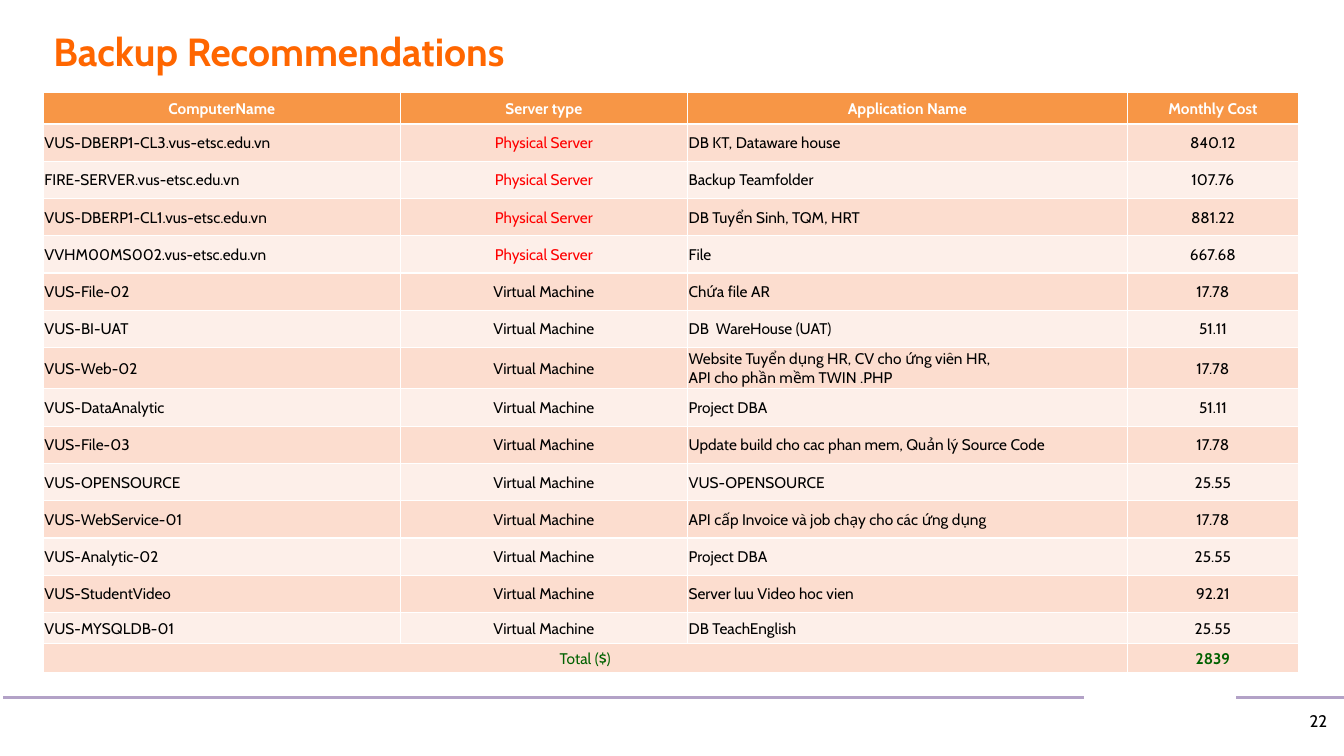
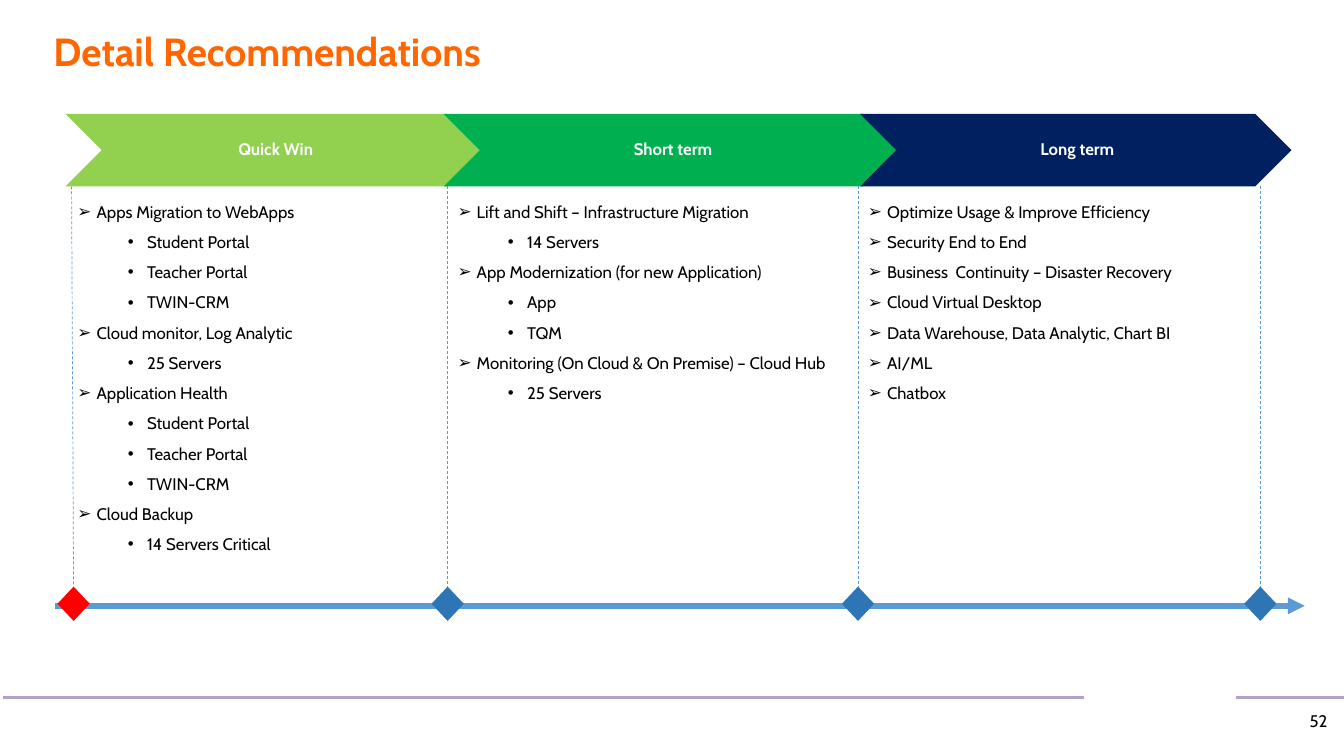
from dataclasses import dataclass
from typing import NamedTuple

from lxml import etree
from pptx import Presentation
from pptx.dml.color import RGBColor
from pptx.enum.dml import MSO_LINE
from pptx.enum.shapes import MSO_CONNECTOR, MSO_SHAPE
from pptx.enum.text import MSO_ANCHOR, MSO_AUTO_SIZE, PP_ALIGN
from pptx.oxml.ns import qn
from pptx.shapes.autoshape import Shape
from pptx.shapes.connector import Connector
from pptx.slide import Slide
from pptx.table import _Cell
from pptx.text.text import TextFrame, _Paragraph
from pptx.util import Pt

DASH = MSO_LINE.DASH
STRAIGHT = MSO_CONNECTOR.STRAIGHT
CHEVRON, DIAMOND = MSO_SHAPE.CHEVRON, MSO_SHAPE.DIAMOND
BOTTOM, MIDDLE, TOP = MSO_ANCHOR.BOTTOM, MSO_ANCHOR.MIDDLE, MSO_ANCHOR.TOP
LEFT, CENTER = PP_ALIGN.LEFT, PP_ALIGN.CENTER
NO_FIT, GROW = MSO_AUTO_SIZE.NONE, MSO_AUTO_SIZE.SHAPE_TO_FIT_TEXT

EMU_PER_PX = 9144  # 100 px to the inch
PAGE_WIDTH, PAGE_HEIGHT = 1333, 750
TITLE_ONLY = 5
FONT = "Cabin"

BLACK, WHITE, RED = "000000", "FFFFFF", "FF0000"
TITLE_ORANGE, RULE_PURPLE = "FF6600", "B3A2C7"
HEADER_ORANGE, BAND_DARK, BAND_LIGHT = "F79646", "FCDDCF", "FDEFE9"
TOTAL_GREEN = "006100"
AXIS_BLUE, MILESTONE_BLUE = "5B9BD5", "2E75B6"

FOOTER_RULES = ((1226, 1337), (3, 1075))
FOOTER_Y = 692


class Server(NamedTuple):
    name: str
    kind: str
    application: str
    cost: str


class Topic(NamedTuple):
    text: str
    details: tuple[str, ...] = ()


@dataclass(frozen=True)
class Phase:
    title: str
    color: str
    left: int
    width: int
    list_left: int
    topics: tuple[Topic, ...]


@dataclass(frozen=True)
class Milestone:
    center: int
    guide_start: int
    color: str = MILESTONE_BLUE


PHYSICAL, VIRTUAL = "Physical Server", "Virtual Machine"
COLUMN_NAMES = ("ComputerName", "Server type", "Application Name", "Monthly Cost")
COLUMN_WIDTHS = (354, 285, 436, 170)
COLUMN_ALIGNS = (LEFT, CENTER, LEFT, CENTER)
ROW_HEIGHTS = (31, *[37] * 6, 41, *[37] * 6, 31, 29)
SERVERS = (
    Server("VUS-DBERP1-CL3.vus-etsc.edu.vn", PHYSICAL, "DB KT, Dataware house", "840.12"),
    Server("FIRE-SERVER.vus-etsc.edu.vn", PHYSICAL, "Backup Teamfolder", "107.76"),
    Server("VUS-DBERP1-CL1.vus-etsc.edu.vn", PHYSICAL, "DB Tuyển Sinh, TQM, HRT", "881.22"),
    Server("VVHM00MS002.vus-etsc.edu.vn", PHYSICAL, "File", "667.68"),
    Server("VUS-File-02", VIRTUAL, "Chứa file AR", "17.78"),
    Server("VUS-BI-UAT", VIRTUAL, "DB  WareHouse (UAT)", "51.11"),
    Server("VUS-Web-02", VIRTUAL,
           "Website Tuyển dụng HR, CV cho ứng viên HR,\nAPI cho phần mềm TWIN .PHP", "17.78"),
    Server("VUS-DataAnalytic", VIRTUAL, "Project DBA", "51.11"),
    Server("VUS-File-03", VIRTUAL,
           "Update build cho cac phan mem, Quản lý Source Code", "17.78"),
    Server("VUS-OPENSOURCE", VIRTUAL, "VUS-OPENSOURCE", "25.55"),
    Server("VUS-WebService-01", VIRTUAL,
           "API cấp Invoice và job chạy cho các ứng dụng", "17.78"),
    Server("VUS-Analytic-02", VIRTUAL, "Project DBA", "25.55"),
    Server("VUS-StudentVideo", VIRTUAL, "Server luu Video hoc vien", "92.21"),
    Server("VUS-MYSQLDB-01", VIRTUAL, "DB TeachEnglish", "25.55"),
)

APPLICATIONS = ("Student Portal", "Teacher Portal", "TWIN-CRM")
PHASES = (
    Phase("Quick Win", "92D050", 65, 414, 67, (
        Topic("Apps Migration to WebApps", APPLICATIONS),
        Topic("Cloud monitor, Log Analytic", ("25 Servers",)),
        Topic("Application Health", APPLICATIONS),
        Topic("Cloud Backup", ("14 Servers Critical",)),
    )),
    Phase("Short term", "00B050", 440, 452, 444, (
        Topic("Lift and Shift – Infrastructure Migration", ("14 Servers",)),
        Topic("App Modernization (for new Application)", ("App", "TQM")),
        Topic("Monitoring (On Cloud & On Premise) – Cloud Hub", ("25 Servers",)),
    )),
    Phase("Long term", "002060", 853, 428, 851, (
        Topic("Optimize Usage & Improve Efficiency"),
        Topic("Security End to End"),
        Topic("Business  Continuity – Disaster Recovery"),
        Topic("Cloud Virtual Desktop"),
        Topic("Data Warehouse, Data Analytic, Chart BI"),
        Topic("AI/ML"),
        Topic("Chatbox"),
    )),
)
MILESTONES = (Milestone(73, 71, RED), Milestone(444, 444),
              Milestone(851, 851), Milestone(1250, 1250))
PHASE_TOP, PHASE_HEIGHT = 113, 72
PHASE_BOTTOM = PHASE_TOP + PHASE_HEIGHT
AXIS_Y = 601
DIAMOND_WIDTH, DIAMOND_HEIGHT, DIAMOND_TOP = 32, 34, 582


def px(*lengths: int) -> list[int]:
    """Turn px lengths into EMU."""
    return [length * EMU_PER_PX for length in lengths]


def rgb(color: str) -> RGBColor:
    return RGBColor.from_string(color)


def write(frame: TextFrame, text: str, *, size: float = 12, color: str = BLACK,
          bold: bool = False, align: PP_ALIGN = LEFT, spacing: float = 1.0) -> None:
    """Fill a frame, one paragraph for each line of the text."""
    for index, line in enumerate(text.split("\n")):
        para = frame.add_paragraph() if index else frame.paragraphs[0]
        para.alignment = align
        para.line_spacing = spacing
        span = para.add_run()
        span.text = line
        span.font.name = FONT
        span.font.size = Pt(size)
        span.font.bold = bold
        span.font.color.rgb = rgb(color)


def set_frame(frame: TextFrame, anchor: MSO_ANCHOR, margins: tuple[int, ...],
              fit: MSO_AUTO_SIZE = NO_FIT) -> None:
    frame.word_wrap = True
    frame.auto_size = fit
    frame.vertical_anchor = anchor
    (frame.margin_left, frame.margin_top,
     frame.margin_right, frame.margin_bottom) = px(*margins)


def add_bullet(para: _Paragraph, symbol: str, indent: int) -> None:
    properties = para._p.get_or_add_pPr()
    margin, hanging = px(indent, -19)
    properties.set("marL", str(margin))
    properties.set("indent", str(hanging))
    etree.SubElement(properties, qn("a:buFont"), typeface="Arial")
    etree.SubElement(properties, qn("a:buChar"), char=symbol)


def add_line(page: Slide, start: tuple[int, int], end: tuple[int, int],
             color: str, width: float) -> Connector:
    line = page.shapes.add_connector(STRAIGHT, *px(*start, *end))
    line.line.color.rgb = rgb(color)
    line.line.width = Pt(width)
    etree.SubElement(line._element.spPr, qn("a:effectLst"))
    return line


def add_filled(page: Slide, kind: MSO_SHAPE, place: tuple[int, ...], color: str) -> Shape:
    shape = page.shapes.add_shape(kind, *px(*place))
    shape.shadow.inherit = False
    shape.fill.solid()
    shape.fill.fore_color.rgb = rgb(color)
    shape.line.fill.background()
    return shape


def add_page(deck: Presentation, title: str, number: int, title_width: int) -> Slide:
    """Add a slide with the shared title, footer rules and page number."""
    page = deck.slides.add_slide(deck.slide_layouts[TITLE_ONLY])
    for start, end in FOOTER_RULES:
        add_line(page, (start, FOOTER_Y), (end, FOOTER_Y), RULE_PURPLE, 2.25)
    heading = page.shapes.title
    heading.left, heading.top, heading.width, heading.height = px(43, 26, title_width, 53)
    set_frame(heading.text_frame, BOTTOM, (10, 5, 10, 5))
    write(heading.text_frame, title, size=28, color=TITLE_ORANGE, bold=True, spacing=0.9)
    box = page.shapes.add_textbox(*px(1289, 700, 40, 40))
    set_frame(box.text_frame, TOP, (10, 5, 10, 5))
    write(box.text_frame, str(number))
    return page


def fill_cell(cell: _Cell, text: str, fill: str, *, color: str = BLACK,
              bold: bool = False, align: PP_ALIGN = CENTER) -> None:
    cell.fill.solid()
    cell.fill.fore_color.rgb = rgb(fill)
    cell.vertical_anchor = MIDDLE
    (cell.margin_left, cell.margin_top,
     cell.margin_right, cell.margin_bottom) = px(1, 1, 1, 0)
    write(cell.text_frame, text, size=11, color=color, bold=bold, align=align)


def add_cost_table(page: Slide) -> None:
    place = px(43, 92, sum(COLUMN_WIDTHS), sum(ROW_HEIGHTS))
    table = page.shapes.add_table(len(ROW_HEIGHTS), len(COLUMN_WIDTHS), *place).table
    for column, width in zip(table.columns, px(*COLUMN_WIDTHS)):
        column.width = width
    for row, height in zip(table.rows, px(*ROW_HEIGHTS)):
        row.height = height

    for index, name in enumerate(COLUMN_NAMES):
        fill_cell(table.cell(0, index), name, HEADER_ORANGE, color=WHITE, bold=True)
    for row_index, server in enumerate(SERVERS, 1):
        band = BAND_DARK if row_index % 2 else BAND_LIGHT
        for index, (text, align) in enumerate(zip(server, COLUMN_ALIGNS)):
            fill_cell(table.cell(row_index, index), text, band, align=align,
                      color=RED if text == PHYSICAL else BLACK)

    last = len(ROW_HEIGHTS) - 1
    label = table.cell(last, 0)
    label.merge(table.cell(last, 2))
    fill_cell(label, "Total ($)", BAND_DARK, color=TOTAL_GREEN)
    fill_cell(table.cell(last, 3), "2839", BAND_DARK, color=TOTAL_GREEN, bold=True)


def add_phase(page: Slide, phase: Phase) -> None:
    """Add the chevron of a phase and the topics below it."""
    chevron = add_filled(page, CHEVRON, (phase.left, PHASE_TOP, phase.width, PHASE_HEIGHT),
                         phase.color)
    set_frame(chevron.text_frame, MIDDLE, (5, 2, 2, 2))
    write(chevron.text_frame, phase.title, color=WHITE, bold=True, align=CENTER, spacing=0.9)

    entries = [entry for topic in phase.topics
               for entry in ((0, topic.text), *((1, detail) for detail in topic.details))]
    place = px(phase.list_left, PHASE_BOTTOM, 400, 10 + 30 * len(entries))
    frame = page.shapes.add_textbox(*place).text_frame
    set_frame(frame, TOP, (10, 5, 10, 5), GROW)
    write(frame, "\n".join(text for _, text in entries), spacing=1.5)
    for para, (level, _) in zip(frame.paragraphs, entries):
        para.level = level
        add_bullet(para, "➢•"[level], 19 + 50 * level)


def add_timeline(page: Slide) -> None:
    axis = add_line(page, (55, AXIS_Y), (1294, AXIS_Y), AXIS_BLUE, 4)
    etree.SubElement(axis.line._get_or_add_ln(), qn("a:tailEnd"), type="triangle")
    for milestone in MILESTONES:
        diamond = add_filled(page, DIAMOND, (milestone.center - DIAMOND_WIDTH // 2, DIAMOND_TOP,
                                             DIAMOND_WIDTH, DIAMOND_HEIGHT), milestone.color)
        guide = add_line(page, (milestone.guide_start, PHASE_BOTTOM),
                         (milestone.center, DIAMOND_TOP), AXIS_BLUE, 0.5)
        guide.line.dash_style = DASH
        guide.end_connect(diamond, 0)


def main() -> None:
    deck = Presentation()
    deck.slide_width, deck.slide_height = px(PAGE_WIDTH, PAGE_HEIGHT)
    add_cost_table(add_page(deck, "Backup Recommendations", 22, 1183))
    roadmap = add_page(deck, "Detail Recommendations", 52, 1046)
    add_timeline(roadmap)
    for phase in PHASES:
        add_phase(roadmap, phase)
    deck.save("out.pptx")


if __name__ == "__main__":
    main()
